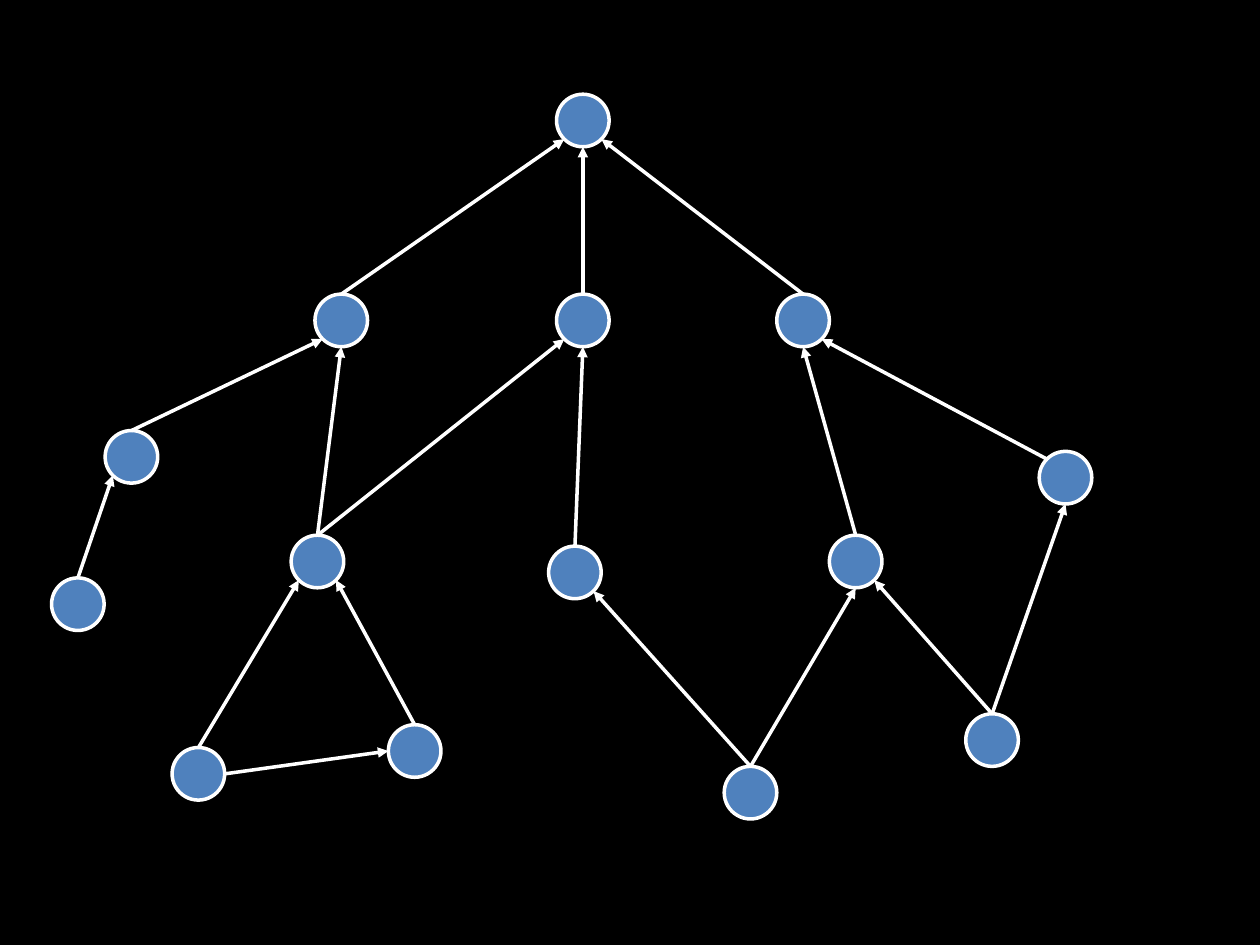
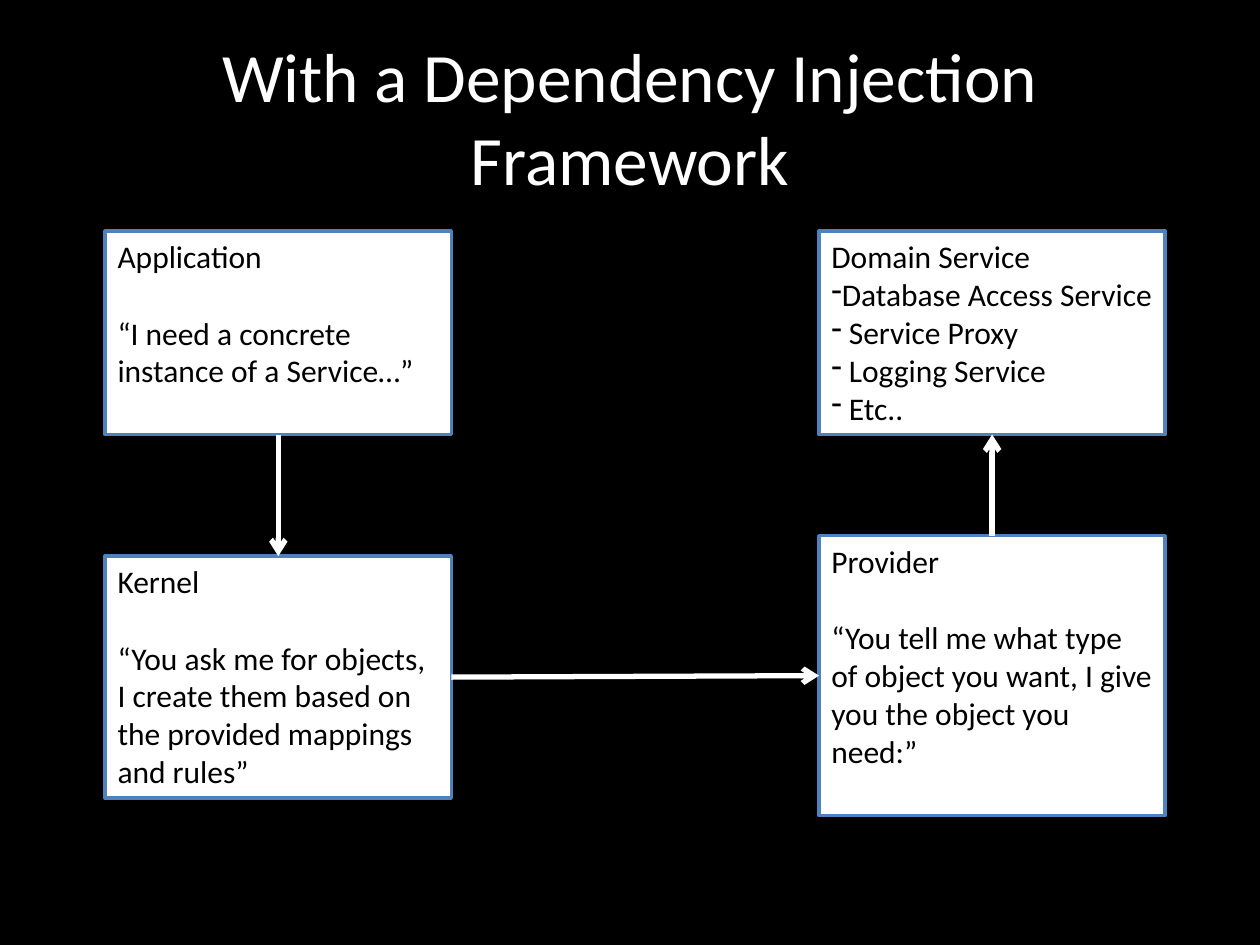
"""Two slides on dependencies: a graph and an injection framework."""
import math
from dataclasses import dataclass

import lxml.etree
import pptx
import pptx.dml.color
import pptx.enum.shapes
import pptx.enum.text
import pptx.oxml.ns
import pptx.util

Cm, Pt = pptx.util.Cm, pptx.util.Pt
Shape = pptx.enum.shapes.MSO_SHAPE
Align = pptx.enum.text.PP_ALIGN
Anchor = pptx.enum.text.MSO_ANCHOR

COLORS = {"back": "000000", "light": "FFFFFF", "blue": "4F81BD", "ink": "000000"}
TITLE = {"size": Pt(39.6), "name": "Calibri"}
BODY = {"size": Pt(18), "name": "Calibri"}
FRAME = {"word_wrap": True, "vertical_anchor": Anchor.TOP}
NODE_SIZE = 1.06
DIAG = math.sqrt(0.5)
SIDES = {
    "N": (0, -1), "S": (0, 1), "E": (1, 0), "W": (-1, 0),
    "NW": (-DIAG, -DIAG), "SW": (-DIAG, DIAG), "SE": (DIAG, DIAG),
}


@dataclass
class Edge:
    """An arrow from a side of one item to a side of another."""
    start: str
    out: str
    end: str
    into: str


@dataclass
class Box:
    """A card with a heading and either a quote or a list, in cm."""
    left: float
    top: float
    height: float
    head: str
    quote: str = ""
    items: tuple = ()


NODES = {
    "root": (11.75, 2.43),
    "left": (6.88, 6.46), "mid": (11.75, 6.46), "right": (16.19, 6.46),
    "west": (2.65, 9.21), "fork": (6.4, 11.32), "stem": (11.59, 11.54),
    "join": (17.25, 11.32), "east": (21.48, 9.63),
    "leaf": (1.57, 12.18), "base": (4.0, 15.6), "peer": (8.36, 15.14),
    "low": (15.13, 15.98), "far": (20.0, 14.92),
}
GRAPH = [
    Edge("mid", "N", "root", "S"),
    Edge("right", "N", "root", "SE"),
    Edge("left", "N", "root", "SW"),
    Edge("west", "N", "left", "SW"),
    Edge("fork", "N", "left", "S"),
    Edge("fork", "N", "mid", "SW"),
    Edge("stem", "N", "mid", "S"),
    Edge("join", "N", "right", "S"),
    Edge("east", "NW", "right", "SE"),
    Edge("low", "N", "stem", "SE"),
    Edge("low", "N", "join", "S"),
    Edge("far", "N", "join", "SE"),
    Edge("far", "N", "east", "S"),
    Edge("peer", "N", "fork", "SE"),
    Edge("base", "N", "fork", "SW"),
    Edge("base", "E", "peer", "W"),
    Edge("leaf", "N", "west", "SW"),
]

COL_LEFT, COL_RIGHT, ROW_TOP, BOX_WIDTH = 2.12, 16.51, 4.66, 6.98
BOXES = {
    "domain": Box(COL_RIGHT, ROW_TOP, 4.1, "Domain Service", items=(
        "Database Access Service", " Service Proxy", " Logging Service", " Etc..")),
    "kernel": Box(COL_LEFT, 11.21, 4.88, "Kernel",
                  "“You ask me for objects, I create them based on "
                  "the provided mappings and rules”"),
    "provider": Box(COL_RIGHT, 10.8, 5.64, "Provider",
                    "“You tell me what type of object you want, "
                    "I give you the object you need:”"),
    "app": Box(COL_LEFT, ROW_TOP, 4.1, "Application",
               "“I need a concrete instance of a Service…”"),
}
FLOW = [
    Edge("app", "S", "kernel", "N"),
    Edge("kernel", "E", "provider", "W"),
    Edge("provider", "N", "domain", "S"),
]


def rgb(name: str) -> pptx.dml.color.RGBColor:
    """Look up a colour by its name."""
    return pptx.dml.color.RGBColor.from_string(COLORS[name])


def apply(target, values: dict) -> None:
    """Set each named attribute on the target."""
    for key, value in values.items():
        setattr(target, key, value)


def add_child(parent, tag: str, **attrs: str) -> None:
    """Append a drawing element to a parent."""
    lxml.etree.SubElement(parent, pptx.oxml.ns.qn(tag), **attrs)


def add_form(slide, kind, left: float, top: float, width: float, height: float,
             fill: str, line: str):
    """Draw a filled and outlined preset shape, in cm."""
    form = slide.shapes.add_shape(kind, Cm(left), Cm(top), Cm(width), Cm(height))
    form.shadow.inherit = False
    form.fill.solid()
    form.fill.fore_color.rgb = rgb(fill)
    form.line.color.rgb = rgb(line)
    form.line.width = Pt(2)
    return form


def find_point(form, side: str) -> tuple:
    """Return the point on the given side of a shape."""
    across, down = SIDES[side]
    return (round(form.left + form.width * (1 + across) / 2),
            round(form.top + form.height * (1 + down) / 2))


def add_edges(slide, edges: list, forms: dict, width: float, head: str) -> None:
    """Draw every arrow between the named shapes."""
    for edge in edges:
        line = slide.shapes.add_connector(
            pptx.enum.shapes.MSO_CONNECTOR.STRAIGHT,
            *find_point(forms[edge.start], edge.out),
            *find_point(forms[edge.end], edge.into))
        line.line.color.rgb = rgb("light")
        line.line.width = Pt(width)
        props = line._element.spPr
        add_child(props.find(pptx.oxml.ns.qn("a:ln")), "a:tailEnd", type=head)
        add_child(props, "a:effectLst")


def add_text(para, text: str, style: dict, color: str, align) -> None:
    """Write one run into a paragraph and format it."""
    run = para.add_run()
    run.text = text
    apply(run.font, style)
    run.font.color.rgb = rgb(color)
    para.alignment = align


def add_box(slide, box: Box):
    """Draw one card with its text."""
    form = add_form(slide, Shape.RECTANGLE, box.left, box.top, BOX_WIDTH,
                    box.height, "light", "blue")
    frame = form.text_frame
    apply(frame, FRAME)
    add_text(frame.paragraphs[0], box.head, BODY, "ink", Align.LEFT)
    if box.quote:
        para = frame.add_paragraph()
        para.space_before = Pt(22)
        add_text(para, box.quote, BODY, "ink", Align.LEFT)
    for item in box.items:
        para = frame.add_paragraph()
        add_text(para, item, BODY, "ink", Align.LEFT)
        props = para._p.get_or_add_pPr()
        add_child(props, "a:buFontTx")
        add_child(props, "a:buChar", char="-")
    return form


def build_graph(deck) -> None:
    """Make the slide with the graph of nodes."""
    slide = deck.slides.add_slide(deck.slide_layouts[6])
    forms = {
        name: add_form(slide, Shape.OVAL, x - NODE_SIZE / 2, y - NODE_SIZE / 2,
                       NODE_SIZE, NODE_SIZE, "blue", "light")
        for name, (x, y) in NODES.items()
    }
    add_edges(slide, GRAPH, forms, 2, "triangle")


def build_flow(deck) -> None:
    """Make the slide with the framework cards."""
    slide = deck.slides.add_slide(deck.slide_layouts[5])
    title = slide.shapes.title
    apply(title, {"left": Cm(1.27), "top": Cm(0.76),
                  "width": Cm(22.86), "height": Cm(3.18)})
    apply(title.text_frame, {"word_wrap": True, "vertical_anchor": Anchor.MIDDLE})
    add_text(title.text_frame.paragraphs[0], "With a Dependency Injection Framework",
             TITLE, "light", Align.CENTER)
    forms = {name: add_box(slide, box) for name, box in BOXES.items()}
    add_edges(slide, FLOW, forms, 3, "arrow")


def main() -> None:
    """Build and save the deck."""
    deck = pptx.Presentation()
    apply(deck, {"slide_width": Cm(25.4), "slide_height": Cm(19.05)})
    fill = deck.slide_master.background.fill
    fill.solid()
    fill.fore_color.rgb = rgb("back")
    build_graph(deck)
    build_flow(deck)
    deck.save("out.pptx")


main()
